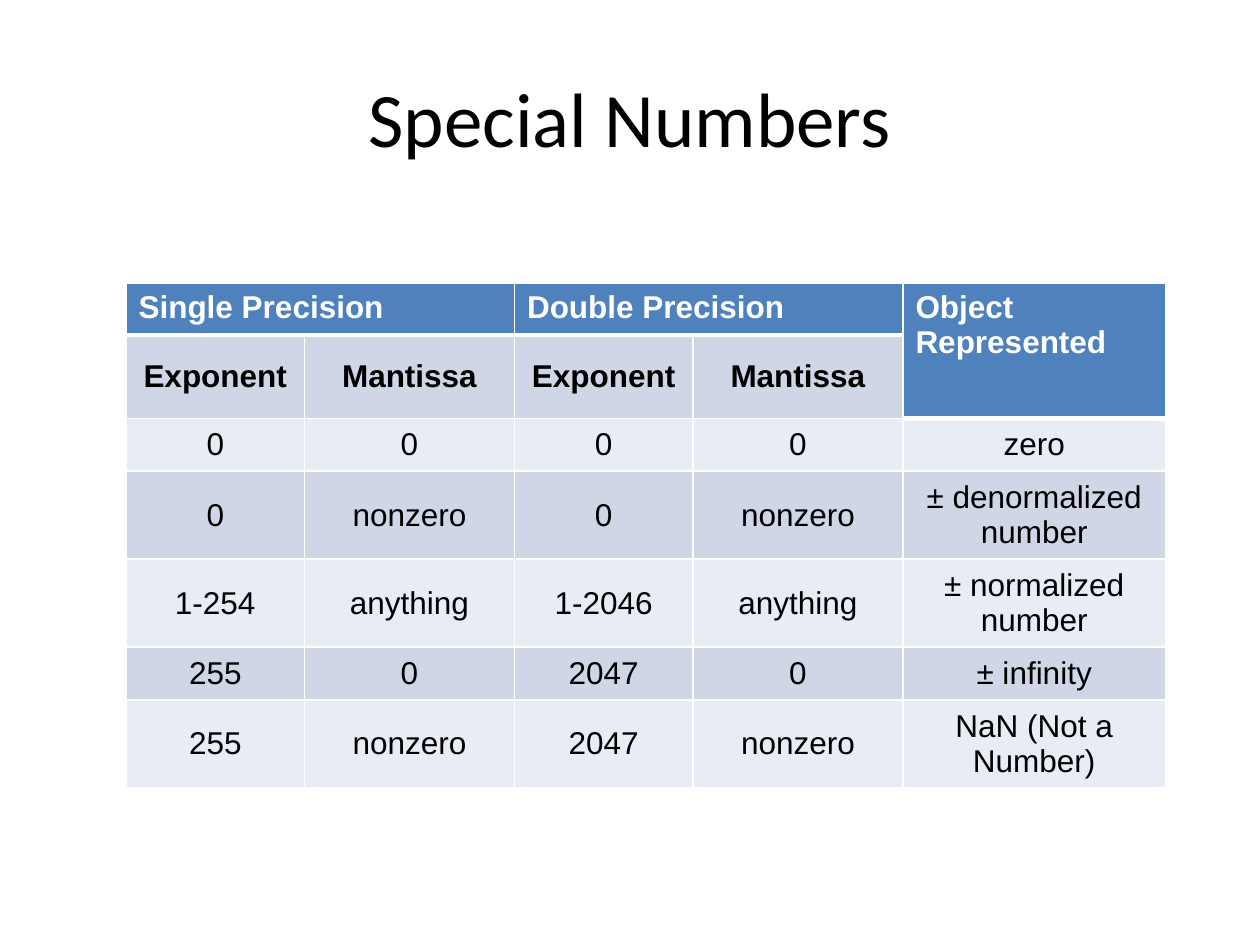
from dataclasses import dataclass

from lxml import etree
from pptx import Presentation
from pptx.dml.color import RGBColor
from pptx.enum.text import MSO_ANCHOR, PP_ALIGN
from pptx.oxml.ns import qn
from pptx.util import Pt

CENTER, LEFT = PP_ALIGN.CENTER, PP_ALIGN.LEFT
MIDDLE, TOP = MSO_ANCHOR.MIDDLE, MSO_ANCHOR.TOP


@dataclass(frozen=True)
class Theme:
    header: str = "4F81BD"
    dark_band: str = "CFD7E7"
    light_band: str = "E8ECF4"
    white: str = "FFFFFF"
    black: str = "000000"
    title_font: str = "Calibri"
    table_font: str = "Arial"
    title_size: float = 44
    table_size: float = 18


@dataclass(frozen=True)
class CellStyle:
    fill: str
    color: str
    bold: bool
    align: PP_ALIGN
    anchor: MSO_ANCHOR
    margin_x: float
    margin_y: float
    borders: tuple = ()


THEME = Theme()
HEADER = CellStyle(THEME.header, THEME.white, True, LEFT, TOP, 7.2, 3.6,
                   (("a:lnL", 1), ("a:lnR", 1), ("a:lnT", 1), ("a:lnB", 3)))
COL_WIDTHS = (102, 120, 102, 120, 150)
ROW_HEIGHT = 29.5
ROWS = (
    ("Single Precision", "", "Double Precision", "", "Object Represented"),
    ("Exponent", "Mantissa", "Exponent", "Mantissa", ""),
    ("0", "0", "0", "0", "zero"),
    ("0", "nonzero", "0", "nonzero", "± denormalized number"),
    ("1-254", "anything", "1-2046", "anything", "± normalized number"),
    ("255", "0", "2047", "0", "± infinity"),
    ("255", "nonzero", "2047", "nonzero", "NaN (Not a Number)"),
)
MERGES = (((0, 0), (0, 1)), ((0, 2), (0, 3)), ((0, 4), (1, 4)))


def format_text(tf, font: str, size: float, color: str, bold: bool, align) -> None:
    for p in tf.paragraphs:
        p.alignment = align
        for r in p.runs:
            r.font.name = font
            r.font.size = Pt(size)
            r.font.bold = bold
            r.font.color.rgb = RGBColor.from_string(color)


def add_border(cell, tag: str, width: float) -> None:
    ln = etree.SubElement(cell._tc.get_or_add_tcPr(), qn(tag), w=str(Pt(width)))
    fill = etree.SubElement(ln, qn("a:solidFill"))
    etree.SubElement(fill, qn("a:srgbClr"), val=THEME.white)


def row_style(row: int) -> CellStyle:
    if row == 0:
        return HEADER
    band = THEME.dark_band if row % 2 else THEME.light_band
    return CellStyle(band, THEME.black, row == 1, CENTER, MIDDLE, 5, 5)


def fill_cell(cell, text: str, style: CellStyle) -> None:
    cell.margin_left = cell.margin_right = Pt(style.margin_x)
    cell.margin_top = cell.margin_bottom = Pt(style.margin_y)
    cell.vertical_anchor = style.anchor
    for tag, width in style.borders:
        add_border(cell, tag, width)
    cell.fill.solid()
    cell.fill.fore_color.rgb = RGBColor.from_string(style.fill)
    cell.text_frame.text = text
    format_text(cell.text_frame, THEME.table_font, THEME.table_size,
                style.color, style.bold, style.align)


def add_title(s, text: str) -> None:
    sp = s.shapes.title
    sp.left, sp.top, sp.width, sp.height = Pt(36), Pt(21.6), Pt(648), Pt(90)
    tf = sp.text_frame
    tf.text = text
    tf.vertical_anchor = MIDDLE
    format_text(tf, THEME.title_font, THEME.title_size, THEME.black, False, CENTER)


def add_number_table(s) -> None:
    table = s.shapes.add_table(len(ROWS), len(COL_WIDTHS), Pt(72), Pt(162),
                               Pt(sum(COL_WIDTHS)), Pt(ROW_HEIGHT * len(ROWS))).table
    for col, width in zip(table.columns, COL_WIDTHS):
        col.width = Pt(width)
    for i, texts in enumerate(ROWS):
        table.rows[i].height = Pt(ROW_HEIGHT)
        for j, text in enumerate(texts):
            style = HEADER if (i, j) == (1, 4) else row_style(i)
            fill_cell(table.cell(i, j), text, style)
    for first, last in MERGES:
        table.cell(*first).merge(table.cell(*last))


prs = Presentation()
prs.slide_width, prs.slide_height = Pt(720), Pt(540)
s = prs.slides.add_slide(prs.slide_layouts[5])
add_title(s, "Special Numbers")
add_number_table(s)
prs.save("out.pptx")
